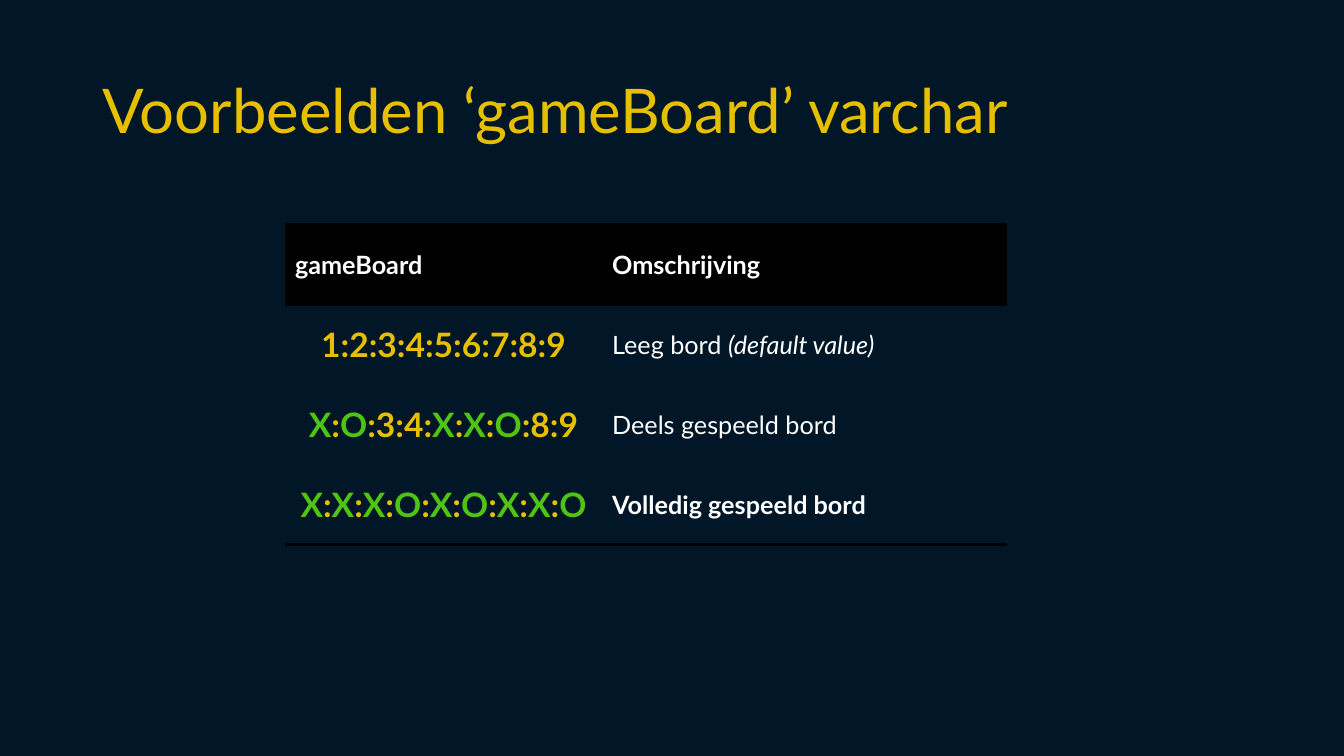
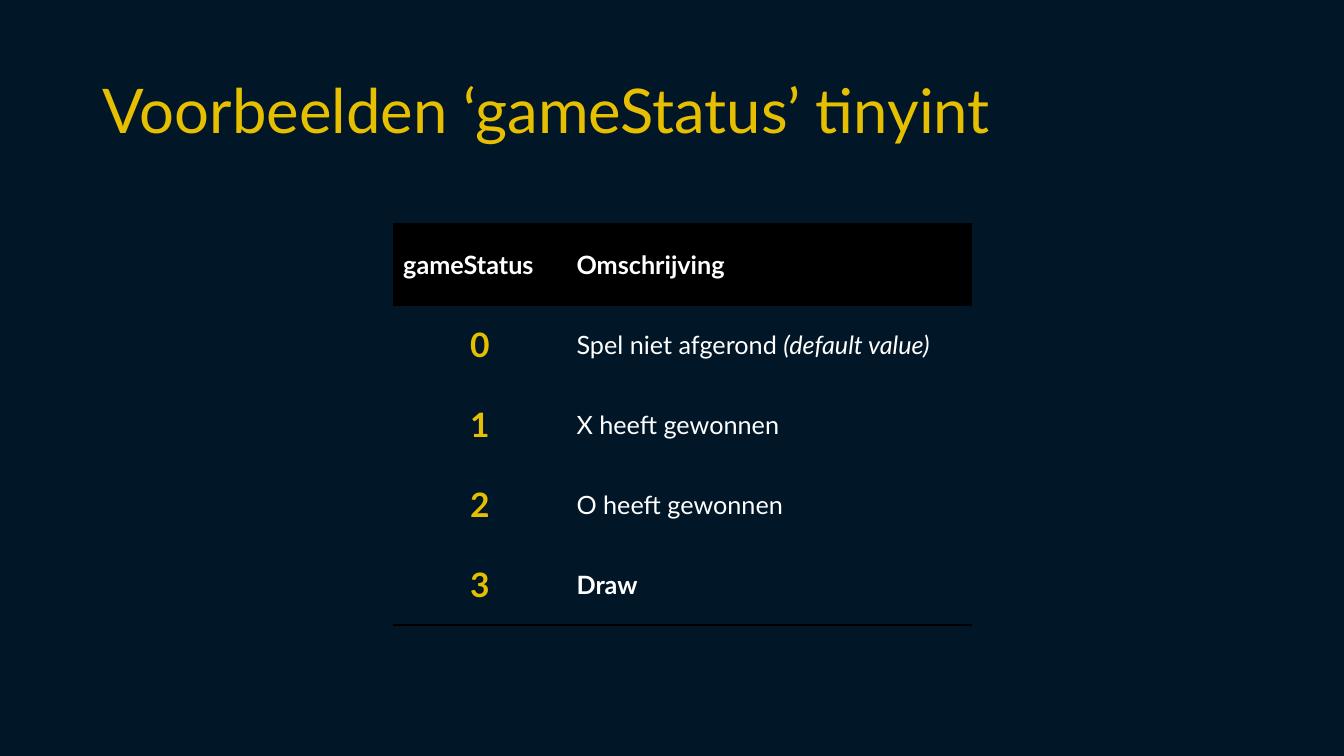
import itertools

import lxml.etree
import pptx
import pptx.dml.color
import pptx.enum.text
import pptx.oxml.ns
import pptx.util

# Shared look
FONT = "Lato"
NAVY, YELLOW, GREEN = "011627", "E5BF00", "4FC414"
BLACK, WHITE = "000000", "FFFFFF"
TITLE_SIZE, CODE_SIZE, BODY_SIZE = 44, 24, 18
BORDER_WIDTH = 2
PLAIN_TABLE_STYLE = "{2D5ABB26-0587-4C30-8999-92F81FD0307C}"

# Shared layout, in percent of the slide's width or height
SLIDE_WIDTH, SLIDE_HEIGHT = pptx.util.Inches(13.33), pptx.util.Inches(7.5)
TITLE_LEFT, TITLE_TOP, TITLE_WIDTH, TITLE_HEIGHT = 6.9, 5.33, 86.25, 19.33
TABLE_TOP, ROW_HEIGHT = 29.7, 10.59

LEFT = pptx.enum.text.PP_ALIGN.LEFT
CENTER = pptx.enum.text.PP_ALIGN.CENTER
MIDDLE = pptx.enum.text.MSO_ANCHOR.MIDDLE


def across(percent):
    return int(SLIDE_WIDTH * percent / 100)


def down(percent):
    return int(SLIDE_HEIGHT * percent / 100)


def color(value):
    return pptx.dml.color.RGBColor.from_string(value)


def style_span(span, size, ink, bold=False, italic=False):
    span.font.name = FONT
    span.font.size = pptx.util.Pt(size)
    span.font.color.rgb = color(ink)
    span.font.bold = bold
    span.font.italic = italic


def add_title(page, text):
    title = page.shapes.title
    title.left, title.top = across(TITLE_LEFT), down(TITLE_TOP)
    title.width, title.height = across(TITLE_WIDTH), down(TITLE_HEIGHT)
    title.text_frame.text = text
    title.text_frame.vertical_anchor = MIDDLE
    para = title.text_frame.paragraphs[0]
    para.alignment = LEFT
    para.line_spacing = 0.9
    style_span(para.runs[0], TITLE_SIZE, YELLOW)


def fill_cell(cell, spans, alignment=LEFT):
    """Write spans of (text, size, ink, bold, italic) into a cell."""
    cell.vertical_anchor = MIDDLE
    para = cell.text_frame.paragraphs[0]
    para.alignment = alignment
    for text, *style in spans:
        span = para.add_run()
        span.text = text
        style_span(span, *style)


def code_spans(code):
    """Players' marks are green, everything else is yellow."""
    for is_mark, letters in itertools.groupby(code, lambda letter: letter in "XO"):
        yield "".join(letters), CODE_SIZE, GREEN if is_mark else YELLOW, True


def set_borders(cell, sides):
    properties = cell._tc.get_or_add_tcPr()
    for position, side in enumerate(sides):
        line = lxml.etree.Element(pptx.oxml.ns.qn(f"a:ln{side}"),
                                  w=str(pptx.util.Pt(BORDER_WIDTH)))
        fill = lxml.etree.SubElement(line, pptx.oxml.ns.qn("a:solidFill"))
        lxml.etree.SubElement(fill, pptx.oxml.ns.qn("a:srgbClr"), val=BLACK)
        properties.insert(position, line)


def add_code_table(page, left, widths, heading, rows):
    """Rows hold a code, its description and an optional italic note."""
    frame = page.shapes.add_table(
        len(rows) + 1, len(widths), across(left), down(TABLE_TOP),
        across(sum(widths)), down(ROW_HEIGHT * (len(rows) + 1)))
    table = frame.table
    table.horz_banding = False
    table.last_row = True
    style = table._tbl.tblPr.find(pptx.oxml.ns.qn("a:tableStyleId"))
    style.text = PLAIN_TABLE_STYLE
    for column, width in zip(table.columns, widths):
        column.width = across(width)

    # Header row
    for cell, text in zip(table.rows[0].cells, (heading, "Omschrijving")):
        fill_cell(cell, [(text, BODY_SIZE, WHITE, True)])
        cell.fill.solid()
        cell.fill.fore_color.rgb = color(BLACK)
        set_borders(cell, "TB")

    # Body rows, the last one emphasised
    for number, (code, description, *notes) in enumerate(rows, start=1):
        is_last = number == len(rows)
        code_cell, text_cell = table.rows[number].cells
        fill_cell(code_cell, code_spans(code), CENTER)
        fill_cell(text_cell, [(description, BODY_SIZE, WHITE, is_last)]
                  + [(note, BODY_SIZE, WHITE, is_last, True) for note in notes])
        for cell in (code_cell, text_cell):
            cell.fill.background()
            if is_last:
                set_borders(cell, "B")


def add_page(deck, title, **table):
    page = deck.slides.add_slide(deck.slide_layouts.get_by_name("Title Only"))
    add_title(page, title)
    add_code_table(page, **table)


def main():
    deck = pptx.Presentation()
    deck.slide_width, deck.slide_height = SLIDE_WIDTH, SLIDE_HEIGHT
    background = deck.slide_master.background.fill
    background.solid()
    background.fore_color.rgb = color(NAVY)

    # Board contents
    add_page(deck, "Voorbeelden ‘gameBoard’ varchar",
             left=21.2, widths=(23.6, 30.1), heading="gameBoard",
             rows=[("1:2:3:4:5:6:7:8:9", "Leeg bord ", "(default value)"),
                   ("X:O:3:4:X:X:O:8:9", "Deels gespeeld bord"),
                   ("X:X:X:O:X:O:X:X:O", "Volledig gespeeld bord")])

    # Game outcomes
    add_page(deck, "Voorbeelden ‘gameStatus’ tinyint",
             left=29.25, widths=(12.9, 30.2), heading="gameStatus",
             rows=[("0", "Spel niet afgerond ", "(default value)"),
                   ("1", "X heeft gewonnen"),
                   ("2", "O heeft gewonnen"),
                   ("3", "Draw")])

    deck.save("out.pptx")


if __name__ == "__main__":
    main()
